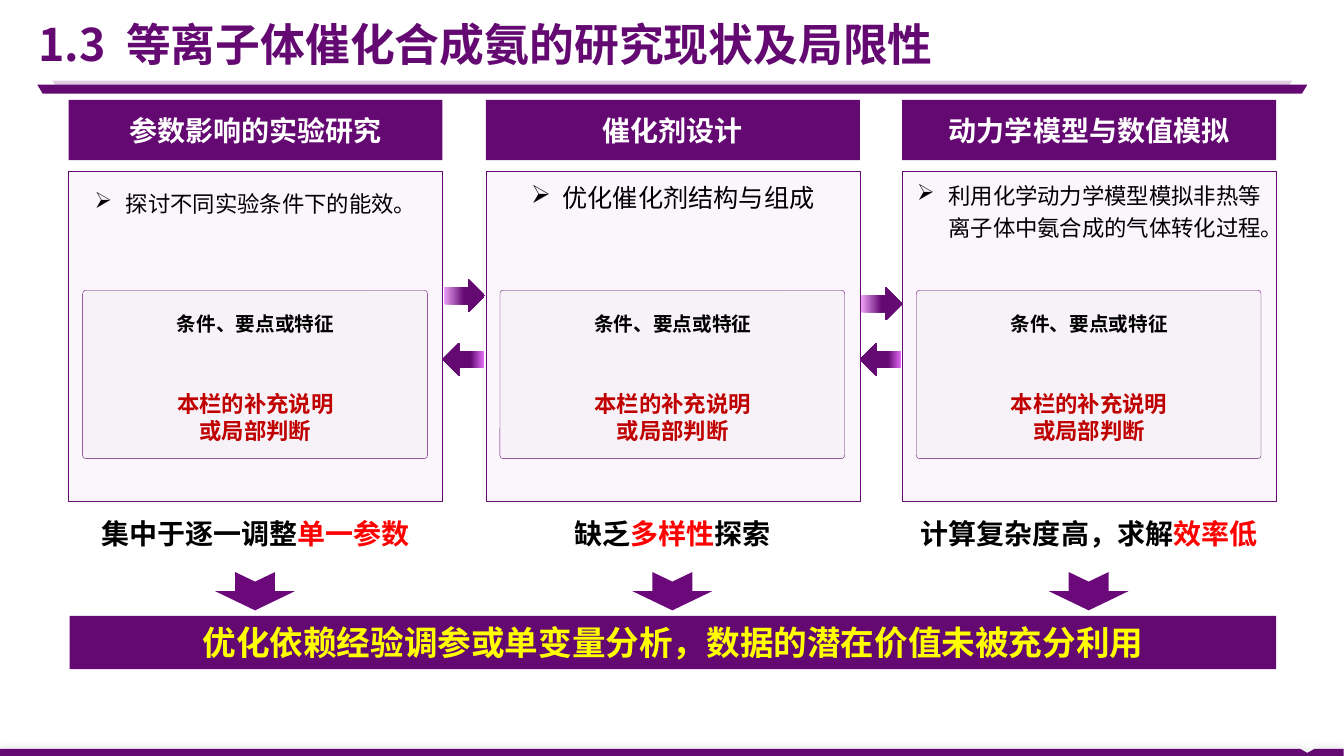
import pptx
import pptx.util
import pptx.dml.color
import pptx.enum.shapes
import pptx.enum.text
import pptx.oxml
import pptx.oxml.ns
import lxml.etree

PX = 9144  # EMU per px, 100 px to the inch
KIND = pptx.enum.shapes.MSO_SHAPE
ALIGN = pptx.enum.text.PP_ALIGN
ANCHOR = pptx.enum.text.MSO_ANCHOR
COLOR = pptx.dml.color.RGBColor.from_string
qn = pptx.oxml.ns.qn

THEME = {
    "font": "Noto Sans CJK SC",
    "purple": "640872", "arrow": "6B097A", "pale": "FBF5FC", "inner": "F6F2F7",
    "lilac": "EEA4F9", "pink": "E36EF5", "black": "000000", "white": "FFFFFF",
    "red": "FF0000", "dark_red": "C00000", "yellow": "FFFF00",
    "title": 32, "banner": 24, "heading": 20, "list_large": 18, "list": 16, "label": 14,
}


def write(shape, paragraphs, size, bold=True, align=ALIGN.CENTER, spacing=None,
          anchor=ANCHOR.MIDDLE, insets=(10, 5, 10, 5), bullet=False, wrap=True):
    """Fill a shape with paragraphs, each a list of (text, colour) runs."""
    frame = shape.text_frame
    frame_format = {"word_wrap": wrap, "vertical_anchor": anchor,
                    "auto_size": pptx.enum.text.MSO_AUTO_SIZE.NONE}
    for side, inset in zip(("left", "top", "right", "bottom"), insets):
        frame_format["margin_" + side] = inset * PX
    for name, value in frame_format.items():
        setattr(frame, name, value)
    for index, runs in enumerate(paragraphs):
        paragraph = frame.add_paragraph() if index else frame.paragraphs[0]
        paragraph_format = {"alignment": align, "line_spacing": spacing,
                            "space_before": pptx.util.Pt(0)}
        for name, value in paragraph_format.items():
            setattr(paragraph, name, value)
        if bullet:
            properties = paragraph._p.get_or_add_pPr()
            properties.set("marL", str(31 * PX))
            properties.set("indent", str(-31 * PX))
            lxml.etree.SubElement(properties, qn("a:buFont")).set("typeface", "Wingdings")
            lxml.etree.SubElement(properties, qn("a:buChar")).set("char", "Ø")
        for text, color in runs:
            run = paragraph.add_run()
            run.text = text
            run_format = {"size": pptx.util.Pt(THEME[size]), "bold": bold, "name": THEME["font"]}
            for name, value in run_format.items():
                setattr(run.font, name, value)
            run.font.color.rgb = COLOR(THEME[color])
            east_asian = lxml.etree.SubElement(run._r.get_or_add_rPr(), qn("a:ea"))
            east_asian.set("typeface", THEME["font"])


def add_box(kind, left, top, width, height, fill=None, line=None):
    """Add a preset shape, or a text box when kind is None."""
    place = [length * PX for length in (left, top, width, height)]
    if kind is None:
        return slide.shapes.add_textbox(*place)
    shape = slide.shapes.add_shape(kind, *place)
    shape.shadow.inherit = False
    if fill:
        shape.fill.solid()
        shape.fill.fore_color.rgb = COLOR(THEME[fill])
    if line:
        shape.line.color.rgb = COLOR(THEME[line])
        shape.line.width = pptx.util.Pt(0.25)
    else:
        shape.line.fill.background()
    return shape


presentation = pptx.Presentation()
presentation.slide_width = pptx.util.Inches(13.333)
presentation.slide_height = pptx.util.Inches(7.5)
slide = presentation.slides.add_slide(presentation.slide_layouts.get_by_name("Comparison"))
placeholders = {shape.placeholder_format.idx: shape for shape in slide.placeholders}

# Title, with a widened space after the section number
title = slide.shapes.title
title.left, title.top, title.width, title.height = 38 * PX, 10 * PX, 1258 * PX, 67 * PX
write(title, [[("1.3", "purple"), (" ", "purple"), ("等离子体催化合成氨的研究现状及局限性", "purple")]],
      "title", align=ALIGN.LEFT, insets=(0, 0, 0, 0), wrap=False)
title.text_frame.paragraphs[0].runs[1]._r.get_or_add_rPr().set("spc", "720")

# Double rule under the title
for left, top, width, opacity in ((52, 80, 1230, 20), (37, 84, 1260, 100)):
    rule = add_box(KIND.TRAPEZOID, left, top, width, 9, "purple")
    rule.adjustments[0] = 0.61
    rule._element.spPr.find(qn("a:xfrm")).set("flipV", "1")
    if opacity < 100:
        color_element = rule._element.spPr.find(".//" + qn("a:srgbClr"))
        lxml.etree.SubElement(color_element, qn("a:alpha")).set("val", str(opacity * 1000))

# Three research columns: left, heading, list text, list size, line spacing, conclusion
columns = [
    (68, "参数影响的实验研究", "探讨不同实验条件下的能效。", "list", 1.5,
     [("集中于逐一调整", "black"), ("单一参数", "red")]),
    (482, "催化剂设计", "优化催化剂结构与组成", "list_large", 1.2,
     [("缺乏", "black"), ("多样性", "red"), ("探索", "black")]),
    (895, "动力学模型与数值模拟", "利用化学动力学模型模拟非热等离子体中氨合成的气体转化过程。", "list", 1.2,
     [("计算复杂度高，求解", "black"), ("效率低", "red")]),
]
for number, (left, heading, item, size, spacing, conclusion) in enumerate(columns, 1):
    header = add_box(KIND.RECTANGLE, left, 99, 371, 60, "purple")
    write(header, [[(heading, "white")]], "heading", insets=(4, 4, 4, 4))

    card = placeholders[number]
    card.left, card.top, card.width, card.height = left * PX, 170 * PX, 371 * PX, 327 * PX
    card.fill.solid()
    card.fill.fore_color.rgb = COLOR(THEME["pale"])
    card.line.color.rgb = COLOR(THEME["purple"])
    card.line.width = pptx.util.Pt(0.25)
    write(card, [[(item, "black")]], size, bold=False, spacing=spacing,
          anchor=ANCHOR.TOP, bullet=True)

    panel = add_box(KIND.ROUNDED_RECTANGLE, left + 14, 288, 342, 167, "inner", "purple")
    panel.adjustments[0] = 0.02
    label = add_box(None, left + 23, 299, 325, 40)
    write(label, [[("条件、要点或特征", "black")]], "label", spacing=1.2, insets=(6, 3, 6, 3))
    remark = add_box(None, left + 25, 387, 321, 54)
    write(remark, [[("本栏的补充说明", "dark_red")], [("或局部判断", "dark_red")]],
          "list", insets=(6, 3, 6, 3))

    summary = add_box(None, left, 508, 371, 44)
    write(summary, [conclusion], "heading", anchor=ANCHOR.TOP)
    down_arrow = add_box(KIND.NOTCHED_RIGHT_ARROW, left + 166, 547, 38, 79, "arrow")
    down_arrow.rotation = 90

placeholders[4]._element.getparent().remove(placeholders[4]._element)

# Arrows between the columns
for left, top, rotation, tail, dark_from in (
        (440, 277, 0, "lilac", 0.5), (854, 285, 0, "lilac", 0.5),
        (439, 340, 180, "pink", 0.32), (853, 340, 180, "pink", 0.32)):
    arrow = add_box(KIND.RIGHT_ARROW, left, top, 41, 33)
    arrow.rotation = rotation
    arrow.fill.gradient()
    arrow.fill.gradient_angle = 0
    for stop, color, position in zip(arrow.fill.gradient_stops, (tail, "purple"), (0, dark_from)):
        stop.color.rgb = COLOR(THEME[color])
        stop.position = position

# Closing banner
banner = add_box(KIND.RECTANGLE, 69, 611, 1197, 53, "purple")
write(banner, [[("优化依赖经验调参或单变量分析，数据的潜在价值未被充分利用", "yellow")]], "banner")

# Footer strip with a small notch and a soft shadow
builder = slide.shapes.build_freeform(0, 743, scale=PX)
builder.add_line_segments([(1290, 743), (1297, 747), (1304, 743), (1333, 743), (1333, 750), (0, 750)])
strip = builder.convert_to_shape()
strip.fill.solid()
strip.fill.fore_color.rgb = COLOR(THEME["purple"])
strip.line.fill.background()
strip.shadow.inherit = False
effects = strip._element.spPr.find(qn("a:effectLst"))
shadow = lxml.etree.SubElement(effects, qn("a:outerShdw"))
shadow.set("blurRad", str(pptx.util.Pt(7.7)))
shadow_color = lxml.etree.SubElement(shadow, qn("a:srgbClr"))
shadow_color.set("val", THEME["black"])
lxml.etree.SubElement(shadow_color, qn("a:alpha")).set("val", "14000")

presentation.save("out.pptx")
